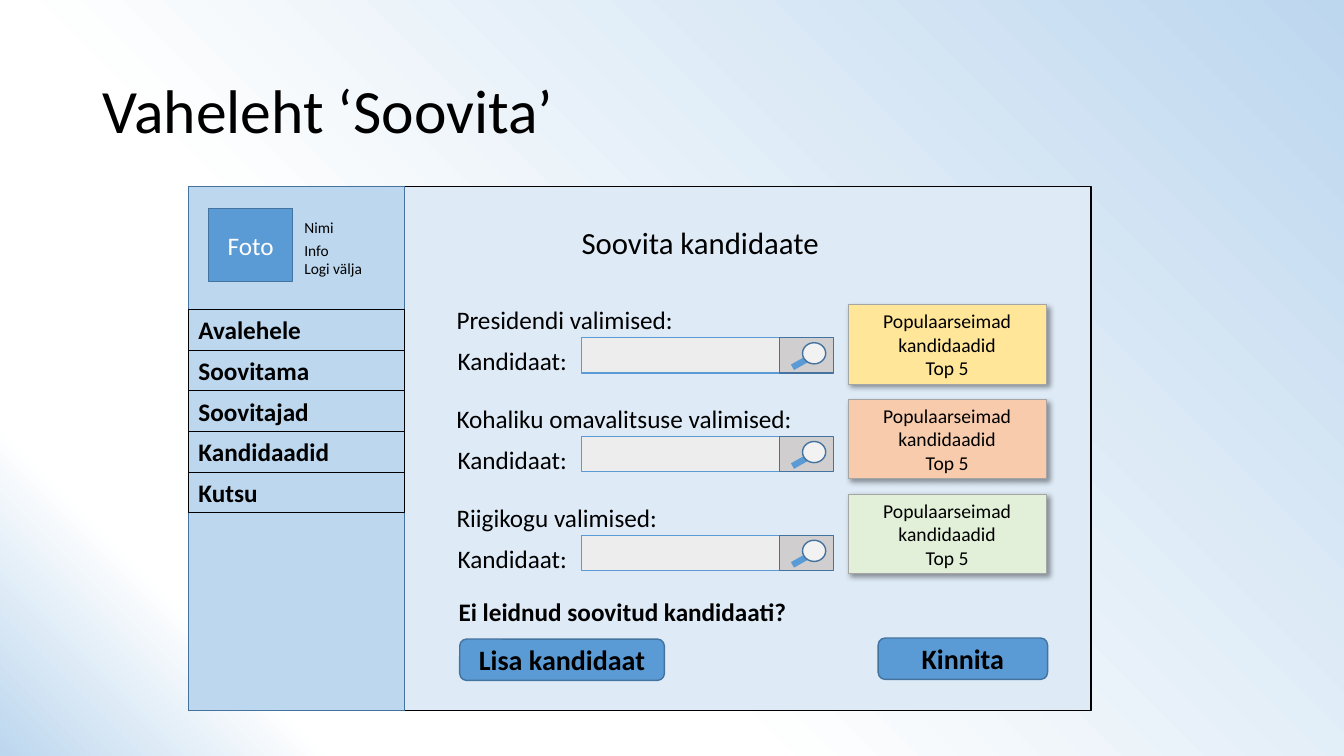
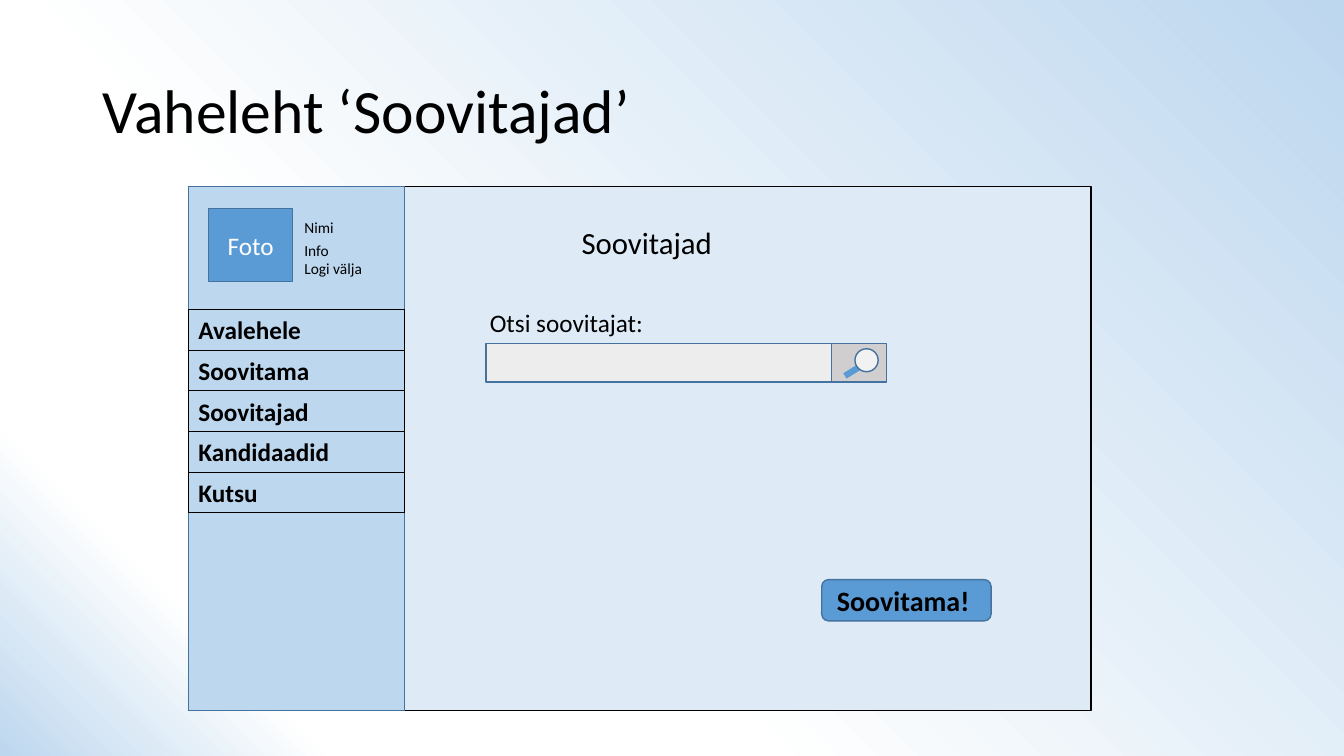
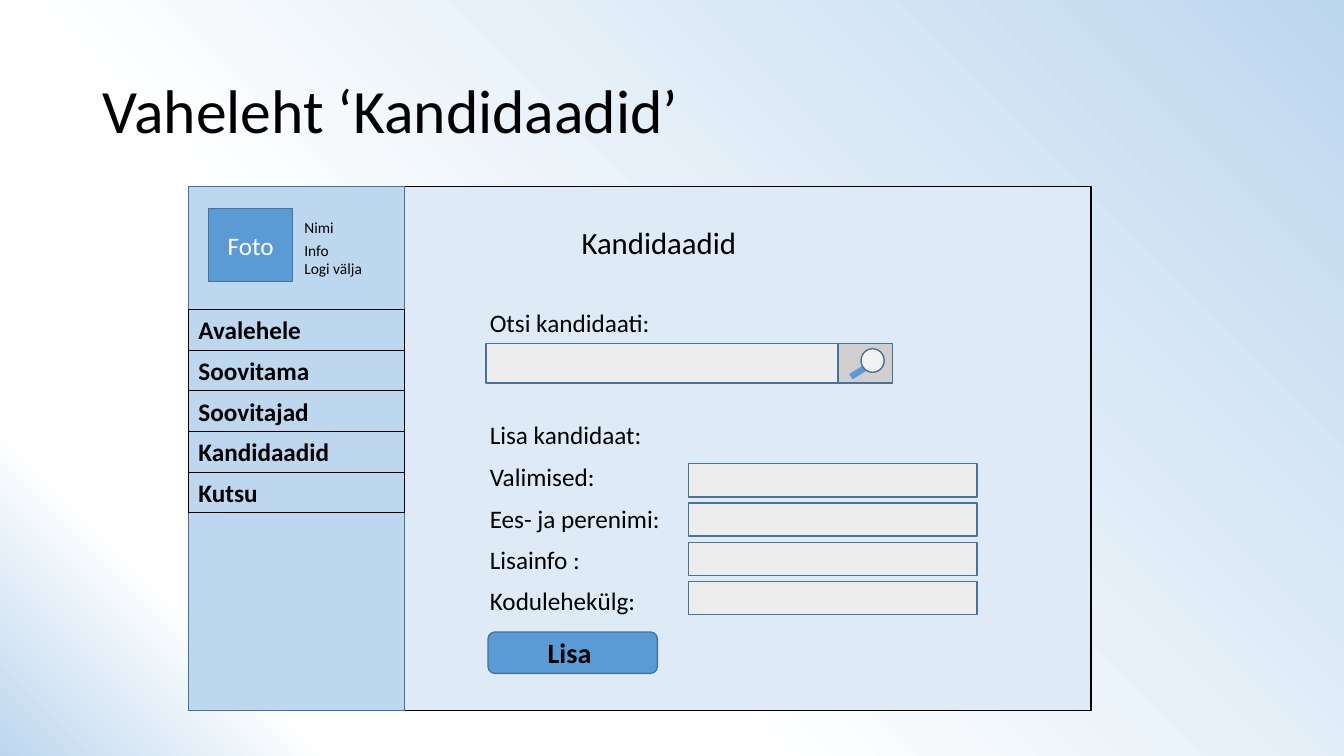
import copy
import pptx
import pptx.util
import pptx.dml.color
import pptx.enum.shapes
import pptx.enum.text
import pptx.oxml
import pptx.oxml.ns

RGB = pptx.dml.color.RGBColor
SHAPE = pptx.enum.shapes.MSO_SHAPE
ANCHOR = pptx.enum.text.MSO_ANCHOR
ALIGN = pptx.enum.text.PP_ALIGN
inches = pptx.util.Inches
qn = pptx.oxml.ns.qn

MENU = ["Avalehele", "Soovitama", "Soovitajad", "Kandidaadid", "Kutsu"]
PROFILE = [("Nimi", 2.11), ("Info", 2.34), ("Logi välja", 2.52)]
TOP_FIVE = "Populaarseimad kandidaadid\nTop 5"
ELECTIONS = [
    ("Presidendi valimised:", RGB(0xFF, 0xE6, 0x99)),
    ("Kohaliku omavalitsuse valimised:", RGB(0xF8, 0xCB, 0xAD)),
    ("Riigikogu valimised:", RGB(0xE2, 0xF0, 0xD9)),
]
CANDIDATE_FIELDS = ["Valimised:", "Ees- ja perenimi:", "Lisainfo :", "Kodulehekülg:"]

FONT = "Calibri"
BLACK = RGB(0, 0, 0)
WHITE = RGB(0xFF, 0xFF, 0xFF)
SKY = RGB(0xBD, 0xD7, 0xEE)
PALE = RGB(0xDE, 0xEB, 0xF7)
BLUE = RGB(0x5B, 0x9B, 0xD5)
EDGE = RGB(0x43, 0x73, 0x9E)
FIELD = RGB(0xED, 0xED, 0xED)
BUTTON = RGB(0xD0, 0xCE, 0xCE)
LENS = RGB(0xF2, 0xF2, 0xF2)
CARD_EDGE = RGB(0xA5, 0xA5, 0xA5)
BACKDROP = [(0, SKY), (0.64, WHITE), (0.84, WHITE), (1, SKY)]

WIDTH, HEIGHT = 13.33, 7.5
FRAME_LEFT, FRAME_TOP, FRAME_WIDTH, FRAME_HEIGHT = 1.87, 1.85, 8.95, 5.2
SIDEBAR_WIDTH = 2.14
MENU_TOP = 3.07
MENU_ROW = 2.02 / len(MENU)
LINE_HEIGHT = 0.4
ACTION_WIDTH, ACTION_HEIGHT = 1.68, 0.41
SEARCH_BUTTON_WIDTH = 0.54
ELECTION_TOP, ELECTION_ROW = 3.35, 0.98
CARD_LEFT, CARD_TOP, CARD_WIDTH, CARD_HEIGHT, CARD_GAP = 8.41, 3.02, 1.97, 0.79, 0.15
FORM_LEFT = 4.76
ENTRY_LEFT, ENTRY_TOP, ENTRY_ROW = 6.83, 4.6, 0.39
CAPTION_TOP, CAPTION_ROW = 4.53, 0.41

prs = pptx.Presentation()
prs.slide_width, prs.slide_height = inches(WIDTH), inches(HEIGHT)


def paint_backdrop(master):
    fill = master.background.fill
    fill.gradient()
    fill.gradient_angle = 225
    stop_list = master.element.find(".//" + qn("a:gsLst"))
    while len(stop_list) < len(BACKDROP):
        stop_list.append(copy.deepcopy(stop_list[0]))
    for stop, (position, colour) in zip(fill.gradient_stops, BACKDROP):
        stop.position = position
        stop.color.rgb = colour


def write(frame, text, size, colour=BLACK, bold=False, align=ALIGN.LEFT, anchor=ANCHOR.TOP):
    frame.text = text
    frame.word_wrap = True
    frame.vertical_anchor = anchor
    for paragraph in frame.paragraphs:
        paragraph.alignment = align
        for run in paragraph.runs:
            run.font.name = FONT
            run.font.size = pptx.util.Pt(size)
            run.font.bold = bold
            run.font.color.rgb = colour


def box(slide, at, fill=None, edge=EDGE, weight=1, kind=SHAPE.RECTANGLE):
    shape = slide.shapes.add_shape(kind, *map(inches, at))
    shape.shadow.inherit = False
    if fill is None:
        shape.fill.background()
    else:
        shape.fill.solid()
        shape.fill.fore_color.rgb = fill
    shape.line.color.rgb = edge
    shape.line.width = pptx.util.Pt(weight)
    return shape


def label(slide, at, text, size=18, bold=False):
    write(slide.shapes.add_textbox(*map(inches, at)).text_frame, text, size, bold=bold)


def action(slide, left, top, text, width=ACTION_WIDTH):
    button = box(slide, (left, top, width, ACTION_HEIGHT), BLUE, kind=SHAPE.ROUNDED_RECTANGLE)
    write(button.text_frame, text, 20, bold=True, align=ALIGN.CENTER, anchor=ANCHOR.MIDDLE)


def search(slide, left, top, width, height, edge=EDGE):
    button_left = left + width - SEARCH_BUTTON_WIDTH
    box(slide, (left, top, width - SEARCH_BUTTON_WIDTH, height), FIELD, edge)
    box(slide, (button_left, top, SEARCH_BUTTON_WIDTH, height), BUTTON)
    handle = slide.shapes.add_connector(
        pptx.enum.shapes.MSO_CONNECTOR.STRAIGHT,
        inches(button_left + 0.13), inches(top + 0.84 * height),
        inches(button_left + 0.26), inches(top + 0.63 * height))
    handle.line.color.rgb = BLUE
    handle.line.width = pptx.util.Pt(4.5)
    pptx.oxml.ns.qn
    handle._element.spPr.append(pptx.oxml.parse_xml(
        "<a:effectLst %s/>" % pptx.oxml.ns.nsdecls("a")))
    box(slide, (button_left + 0.23, top + 0.05, 0.23, 0.6 * height), LENS, kind=SHAPE.OVAL)


def card(slide, top, fill):
    note = box(slide, (CARD_LEFT, top, CARD_WIDTH, CARD_HEIGHT), fill, CARD_EDGE, 0.5)
    write(note.text_frame, TOP_FIVE, 14, align=ALIGN.CENTER, anchor=ANCHOR.MIDDLE)
    note._element.spPr.find(qn("a:effectLst")).append(pptx.oxml.parse_xml(
        '<a:outerShdw %s blurRad="50800" dist="38100" dir="2700000" algn="tl" rotWithShape="0">'
        '<a:srgbClr val="000000"><a:alpha val="40000"/></a:srgbClr></a:outerShdw>'
        % pptx.oxml.ns.nsdecls("a")))


def page(title, heading):
    slide = prs.slides.add_slide(prs.slide_layouts[5])
    headline = slide.shapes.title
    headline.left, headline.top = inches(0.92), inches(0.4)
    headline.width, headline.height = inches(11.5), inches(1.45)
    write(headline.text_frame, title, 44, anchor=ANCHOR.MIDDLE)
    headline.text_frame.auto_size = pptx.enum.text.MSO_AUTO_SIZE.NONE
    headline.text_frame.paragraphs[0].line_spacing = 0.9

    box(slide, (FRAME_LEFT, FRAME_TOP, FRAME_WIDTH, FRAME_HEIGHT), PALE, BLACK)
    box(slide, (FRAME_LEFT, FRAME_TOP, SIDEBAR_WIDTH, FRAME_HEIGHT), SKY)
    photo = box(slide, (2.07, 2.07, 0.83, 0.72), BLUE)
    write(photo.text_frame, "Foto", 18, WHITE, align=ALIGN.CENTER, anchor=ANCHOR.MIDDLE)
    for text, top in PROFILE:
        label(slide, (2.92, top, 1, 0.29), text, 11)
    for row, text in enumerate(MENU):
        item = box(slide, (FRAME_LEFT, MENU_TOP + row * MENU_ROW, SIDEBAR_WIDTH, MENU_ROW),
                   edge=BLACK, weight=0.75)
        write(item.text_frame, text, 18, bold=True)
    label(slide, (5.67, 2.17, 3.17, 0.47), heading, 22)
    return slide


paint_backdrop(prs.slide_master)

recommend = page("Vaheleht ‘Soovita’", "Soovita kandidaate")
for row, (election, card_fill) in enumerate(ELECTIONS):
    top = ELECTION_TOP + row * ELECTION_ROW
    label(recommend, (4.43, top - 0.38, 3.67, LINE_HEIGHT), election)
    label(recommend, (4.44, top + 0.03, 1.49, LINE_HEIGHT), "Kandidaat:")
    search(recommend, 5.77, top, 2.5, 0.35, BLUE)
    card(recommend, CARD_TOP + row * (CARD_HEIGHT + CARD_GAP), card_fill)
label(recommend, (4.45, 5.87, 3.46, LINE_HEIGHT), "Ei leidnud soovitud kandidaati?", bold=True)
action(recommend, 4.56, 6.34, "Lisa kandidaat", 2.03)
action(recommend, 8.71, 6.33, "Kinnita")

supporters = page("Vaheleht ‘Soovitajad’", "Soovitajad")
label(supporters, (FORM_LEFT, 3, 2.65, LINE_HEIGHT), "Otsi soovitajat:")
search(supporters, 4.82, 3.41, 3.97, 0.38)
action(supporters, 8.15, 5.75, "Soovitama! ")

candidates = page("Vaheleht ‘Kandidaadid’", "Kandidaadid")
label(candidates, (FORM_LEFT, 3, 2.65, LINE_HEIGHT), "Otsi kandidaati:")
search(candidates, 4.82, 3.41, 4.03, 0.39)
label(candidates, (FORM_LEFT, 4.11, 1.97, LINE_HEIGHT), "Lisa kandidaat:")
for row, caption in enumerate(CANDIDATE_FIELDS):
    label(candidates, (FORM_LEFT, CAPTION_TOP + row * CAPTION_ROW, 2.11, LINE_HEIGHT), caption)
    box(candidates, (ENTRY_LEFT, ENTRY_TOP + row * ENTRY_ROW, 2.86, 0.33), FIELD)
action(candidates, 4.84, 6.27, "Lisa ")

prs.save("out.pptx")
